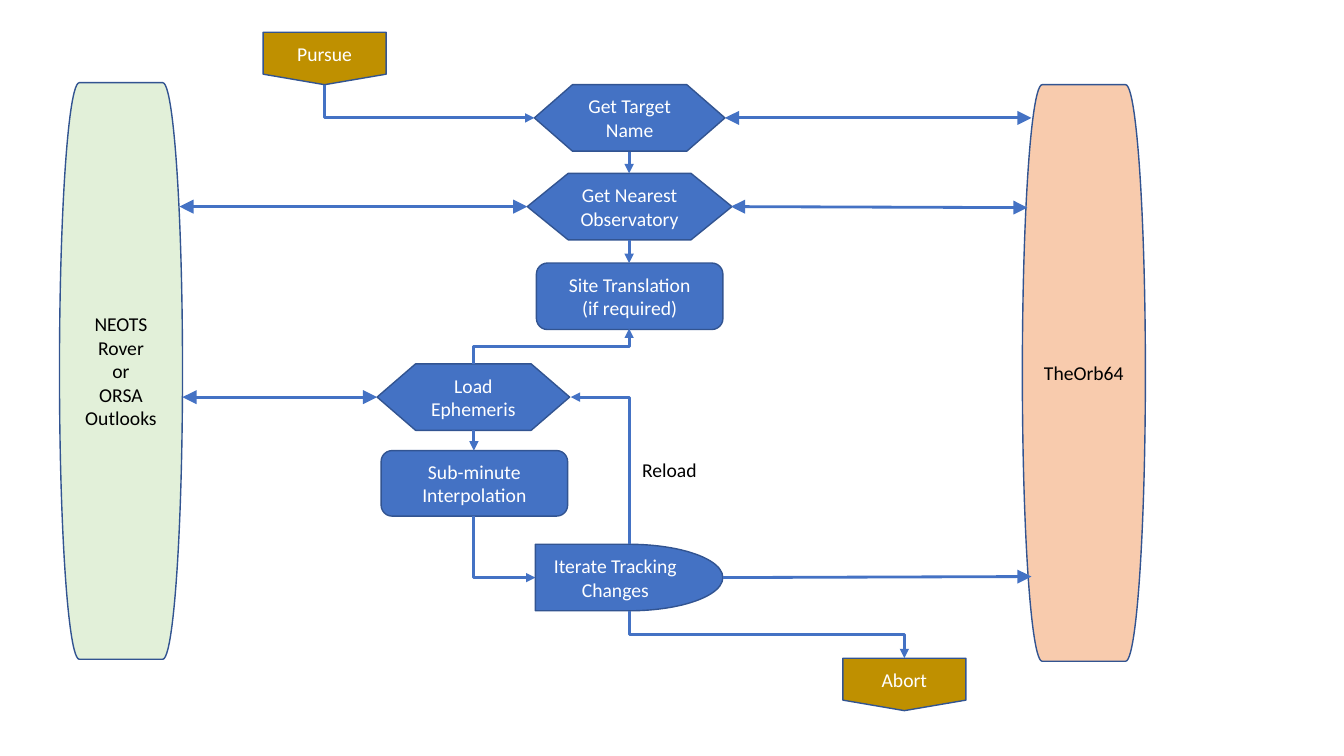
from dataclasses import dataclass

import lxml.etree
import pptx
import pptx.dml.color
import pptx.enum.shapes
import pptx.enum.text
import pptx.oxml.ns
import pptx.shapes.connector
import pptx.slide
import pptx.text.text
import pptx.util

Inches = pptx.util.Inches
Pt = pptx.util.Pt
RGBColor = pptx.dml.color.RGBColor
Kind = pptx.enum.shapes.MSO_SHAPE
ConnectorKind = pptx.enum.shapes.MSO_CONNECTOR
Align = pptx.enum.text.PP_ALIGN
qn = pptx.oxml.ns.qn

BLUE = RGBColor(0x44, 0x72, 0xC4)
OUTLINE = RGBColor(0x32, 0x54, 0x91)
GOLD = RGBColor(0xBF, 0x90, 0x00)
GREEN = RGBColor(0xE2, 0xF0, 0xD9)
PEACH = RGBColor(0xF8, 0xCB, 0xAD)
WHITE = RGBColor(0xFF, 0xFF, 0xFF)
BLACK = RGBColor(0x00, 0x00, 0x00)

Point = tuple[float, float]


@dataclass
class Node:
    text: str
    kind: Kind
    left: float
    top: float
    width: float
    height: float = 0.66
    fill: RGBColor = BLUE
    color: RGBColor = WHITE


@dataclass
class Exchange:
    """Straight data arrow to or from an outside service."""
    start: Point
    end: Point
    both_ways: bool = True


@dataclass
class Elbow:
    """Flow arrow that leaves vertically, with one or two turns."""
    start: Point
    end: Point
    turns: int


# Main flow columns
RIGHT_COLUMN = 6.24
LEFT_COLUMN = 4.7

NODES = [
    Node("Get Target Name", Kind.FLOWCHART_PREPARATION, 5.3, 0.84, 1.89),
    Node("Get Nearest Observatory", Kind.FLOWCHART_PREPARATION, 5.23, 1.72, 2.03),
    Node("TheOrb64", Kind.FLOWCHART_TERMINATOR, 10.14, 0.84, 1.22, 5.72, PEACH, BLACK),
    Node("NEOTS\nRover\nor\nORSA\nOutlooks", Kind.FLOWCHART_TERMINATOR,
         0.59, 0.82, 1.22, 5.72, GREEN, BLACK),
    Node("Load Ephemeris", Kind.FLOWCHART_PREPARATION, 3.74, 3.61, 1.91),
    Node("Site Translation\n(if required)", Kind.FLOWCHART_ALTERNATE_PROCESS, 5.32, 2.61, 1.85),
    Node("Sub-minute Interpolation", Kind.FLOWCHART_ALTERNATE_PROCESS, 3.78, 4.47, 1.85, 0.65),
    Node("Iterate Tracking Changes", Kind.FLOWCHART_DELAY, 5.31, 5.4, 1.86),
    Node("Pursue", Kind.FLOWCHART_OFFPAGE_CONNECTOR, 2.61, 0.32, 1.22, 0.52, GOLD),
    Node("Abort", Kind.FLOWCHART_OFFPAGE_CONNECTOR, 8.36, 6.53, 1.22, 0.52, GOLD),
]

EXCHANGES = [
    Exchange((10.23, 1.17), (7.19, 1.17)),
    Exchange((5.23, 2.05), (1.78, 2.05)),
    Exchange((10.19, 2.06), (7.25, 2.05)),
    Exchange((3.74, 3.94), (1.81, 3.94)),
    Exchange((7.17, 5.73), (10.23, 5.72), both_ways=False),
]

ELBOWS = [
    Elbow((3.22, 0.84), (5.3, 1.17), 1),
    Elbow((RIGHT_COLUMN, 6.06), (8.97, 6.53), 2),
    Elbow((RIGHT_COLUMN, 5.4), (5.66, 3.94), 1),
    Elbow((LEFT_COLUMN, 3.61), (RIGHT_COLUMN, 3.26), 2),
    Elbow((LEFT_COLUMN, 5.12), (5.31, 5.73), 1),
]

# Short drops between stacked steps: column, top, bottom
DROPS = [
    (RIGHT_COLUMN, 1.51, 1.72),
    (RIGHT_COLUMN, 2.38, 2.61),
    (LEFT_COLUMN, 4.27, 4.47),
]


def format_text(frame: pptx.text.text.TextFrame, color: RGBColor, alignment: Align) -> None:
    frame.word_wrap = True
    for para in frame.paragraphs:
        para.alignment = alignment
        for span in para.runs:
            span.font.name = "Calibri"
            span.font.size = Pt(14)
            span.font.color.rgb = color


def draw_node(page: pptx.slide.Slide, node: Node) -> None:
    box = page.shapes.add_shape(node.kind, Inches(node.left), Inches(node.top),
                                Inches(node.width), Inches(node.height))
    box.shadow.inherit = False
    box.fill.solid()
    box.fill.fore_color.rgb = node.fill
    box.line.color.rgb = OUTLINE
    box.line.width = Pt(1)
    box.text_frame.text = node.text
    box.text_frame.vertical_anchor = pptx.enum.text.MSO_ANCHOR.MIDDLE
    format_text(box.text_frame, node.color, Align.CENTER)


def draw_arrow(page: pptx.slide.Slide, kind: ConnectorKind, start: Point, end: Point,
               width: float, head_size: str,
               both_ways: bool = False) -> pptx.shapes.connector.Connector:
    arrow = page.shapes.add_connector(kind, *(Inches(value) for value in start + end))
    arrow.line.color.rgb = BLUE
    arrow.line.width = Pt(width)
    properties = arrow.element.spPr
    line = properties.find(qn("a:ln"))
    for tag in ["a:headEnd", "a:tailEnd"] if both_ways else ["a:tailEnd"]:
        lxml.etree.SubElement(line, qn(tag), type="triangle", w=head_size, len=head_size)
    lxml.etree.SubElement(properties, qn("a:effectLst"))
    return arrow


def draw_elbow(page: pptx.slide.Slide, elbow: Elbow) -> None:
    # Lay the route on its side, then turn it a quarter so it leaves vertically
    (x1, y1), (x2, y2) = elbow.start, elbow.end
    middle_x, middle_y = (x1 + x2) / 2, (y1 + y2) / 2
    half_x, half_y = (x2 - x1) / 2, (y2 - y1) / 2
    arrow = draw_arrow(page, ConnectorKind.ELBOW,
                       (middle_x + half_y, middle_y - half_x),
                       (middle_x - half_y, middle_y + half_x), 2.25, "med")
    properties = arrow.element.spPr
    properties.find(qn("a:xfrm")).set("rot", str(270 * 60000))
    properties.find(qn("a:prstGeom")).set("prst", f"bentConnector{elbow.turns + 1}")


def main() -> None:
    deck = pptx.Presentation()
    deck.slide_width = Inches(13.33)
    deck.slide_height = Inches(7.5)
    page = deck.slides.add_slide(deck.slide_layouts[6])

    # Steps and services
    for node in NODES:
        draw_node(page, node)

    # Arrows
    for exchange in EXCHANGES:
        draw_arrow(page, ConnectorKind.STRAIGHT, exchange.start, exchange.end,
                   2, "lg", exchange.both_ways)
    for elbow in ELBOWS:
        draw_elbow(page, elbow)
    for column, top, bottom in DROPS:
        draw_arrow(page, ConnectorKind.STRAIGHT, (column, top), (column, bottom), 2.25, "med")

    # Loop label
    label = page.shapes.add_textbox(Inches(6.27), Inches(4.49), Inches(1.07), Inches(0.34))
    label.text_frame.text = "Reload"
    label.text_frame.auto_size = pptx.enum.text.MSO_AUTO_SIZE.SHAPE_TO_FIT_TEXT
    format_text(label.text_frame, BLACK, Align.LEFT)

    deck.save("out.pptx")


if __name__ == "__main__":
    main()
